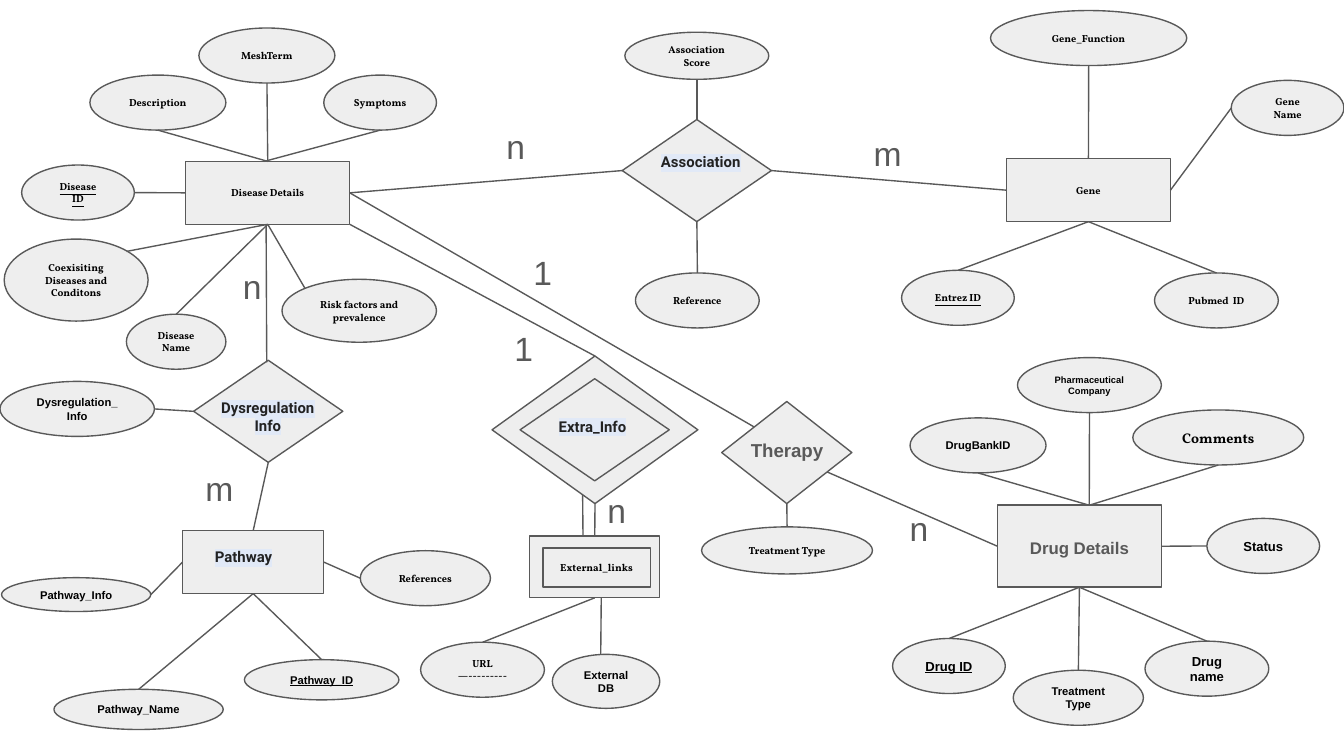
from lxml.etree import SubElement
from pptx import Presentation
from pptx.dml.color import RGBColor as Rgb
from pptx.enum.shapes import MSO_CONNECTOR as Link, MSO_SHAPE as Kind
from pptx.enum.text import MSO_ANCHOR as Anchor, PP_ALIGN as Align
from pptx.oxml import parse_xml
from pptx.oxml.ns import nsdecls, qn
from pptx.util import Cm, Pt

INK = {"fill": "EEEEEE", "line": "595959", "text": "000000", "dark": "222222", "mark": "E1E9F7"}
RECT, OVAL = Kind.RECTANGLE, Kind.FLOWCHART_CONNECTOR
RHOMB, DIAMOND = Kind.FLOWCHART_DECISION, Kind.DIAMOND
SIDES = [(0.5, 0), (0, 0.5), (0.5, 1), (1, 0.5)]
TOP, LEFT, BASE, RIGHT = range(4)
SERIF, SANS, HEAD = "Vollkorn", "Arial", "Roboto"


def tint(name):
    return Rgb.from_string(INK[name])


def place(box, at):
    x, y, w, h = at
    return Cm(box[0] + x), Cm(box[1] + y), Cm(w), Cm(h)


def write(shape, text, font, size, ink="text", bold=True, under=False, align=Align.CENTER, mark=False):
    frame = shape.text_frame
    frame.word_wrap = True
    frame.margin_left = frame.margin_right = Cm(0.25)
    frame.margin_top = frame.margin_bottom = Cm(0.25)
    for i, row in enumerate(text.split("\n")):
        para = frame.paragraphs[0] if i == 0 else frame.add_paragraph()
        para.alignment = align
        for j, part in enumerate(row.split("\v")):
            if j:
                para.add_line_break()
            run = para.add_run()
            run.text = part
            run.font.size, run.font.name = Pt(size), font
            run.font.bold = bold
            if under:
                run.font.underline = True
            run.font.color.rgb = tint(ink)
            if mark:
                glow = parse_xml(f"<a:highlight {nsdecls('a')}><a:srgbClr val='{INK['mark']}'/></a:highlight>")
                run._r.rPr.find(qn("a:solidFill")).addnext(glow)


def draw(page, box, kind, at, text="", font=SERIF, size=5.5, under=False):
    shape = page.shapes.add_shape(kind, *place(box, at))
    shape.shadow.inherit = False
    shape.fill.solid()
    shape.fill.fore_color.rgb = tint("fill")
    shape.line.color.rgb = tint("line")
    shape.line.width = Pt(0.75)
    if text:
        shape.text_frame.vertical_anchor = Anchor.MIDDLE
        write(shape, text, font, size, under=under)
    return shape


def note(page, box, at, text, font=HEAD, size=8, ink="dark", **style):
    area = page.shapes.add_textbox(*place(box, at))
    area.text_frame.vertical_anchor = Anchor.TOP
    write(area, text, font, size, ink, **style)


def title(page, box, at, text, align=Align.LEFT):
    note(page, box, at, text, align=align, mark=True)


def count(page, box, x, y, text):
    note(page, box, (x, y, 0.86, 1.27), text, SANS, 18, "line", bold=False, align=Align.LEFT)


def spot(shape, end):
    fx, fy = SIDES[end] if isinstance(end, int) else end
    return int(shape.left + fx * shape.width), int(shape.top + fy * shape.height)


def join(page, a, start, b, end):
    line = page.shapes.add_connector(Link.STRAIGHT, *spot(a, start), *spot(b, end))
    line.line.color.rgb = tint("line")
    line.line.width = Pt(0.75)
    SubElement(line._element.spPr, qn("a:effectLst"))
    for shape, side, glue in ((a, start, line.begin_connect), (b, end, line.end_connect)):
        if isinstance(side, int) and (side == TOP or shape.auto_shape_type != OVAL):
            glue(shape, side)


def fan(page, box, hub, leaves):
    for start, end, at, text, *style in leaves:
        join(page, hub, start, draw(page, box, OVAL, at, text, *style), end)


def disease(page, box):
    hub = draw(page, box, RECT, (3.43, 2.52, 3.1, 1.19), "Disease Details")
    fan(page, box, hub, [
        (TOP, BASE, (1.62, 0.89, 2.57, 1.04), "Description"),
        (TOP, BASE, (3.68, 0, 2.57, 1.04), "MeshTerm"),
        ((0.48, 0), BASE, (6.04, 0.89, 2.13, 1.04), "Symptoms"),
        (LEFT, RIGHT, (0.33, 2.59, 2.13, 1.04), "Disease\nID", SERIF, 5.5, True),
        (BASE, (0.85, 0.15), (0, 3.99, 2.72, 1.55), "Coexisiting Diseases and Conditons"),
        (BASE, TOP, (2.31, 5.41, 1.88, 1.04), "Disease\vName"),
        (BASE, (0.15, 0.15), (5.25, 4.75, 2.92, 1.19), "Risk factors and prevalence"),
    ])
    return hub


def assoc(page, box):
    hub = draw(page, box, RHOMB, (0, 1.65, 2.82, 1.93))
    title(page, box, (0.48, 2.11, 2.34, 0.86), "Association")
    fan(page, box, hub, [
        (TOP, BASE, (0.05, 0, 2.72, 0.89), "Association\vScore"),
        (BASE, TOP, (0.25, 4.55, 2.34, 1.04), "Reference"),
    ])
    return hub


def gene(page, box):
    hub = draw(page, box, RECT, (1.98, 2.8, 3.1, 1.19), "Gene")
    fan(page, box, hub, [
        (TOP, BASE, (1.68, 0, 3.71, 1.04), "Gene_Function"),
        (RIGHT, LEFT, (6.23, 1.32, 2.13, 1.04), "Gene Name"),
        (BASE, TOP, (0, 4.91, 2.13, 1.04), "Entrez ID", SERIF, 5.5, True),
        (BASE, TOP, (4.78, 4.96, 2.34, 1.04), "Pubmed  ID"),
    ])
    return hub


def extra(page, box):
    hub = draw(page, box, RHOMB, (1.35, 0, 3.89, 2.79))
    draw(page, box, RHOMB, (1.88, 0.43, 2.82, 1.93))
    title(page, box, (2.36, 0.99, 2.34, 0.86), "Extra_Info")
    weak = draw(page, box, RECT, (2.06, 3.4, 2.46, 1.17))
    draw(page, box, RECT, (2.31, 3.63, 2.03, 0.74), "External_links")
    join(page, hub, BASE, weak, TOP)
    join(page, hub, (0.44, 0.94), weak, (0.41, 0))
    fan(page, box, weak, [
        (BASE, TOP, (0, 5.41, 2.34, 1.04), "URL\n—---------"),
        ((0.55, 1), (0.45, 0), (2.49, 5.64, 2.03, 1.02), "External\vDB", SANS, 6),
    ])
    count(page, box, 3.28, 2.29, "n")
    return hub


def therapy(page, box):
    hub = draw(page, box, DIAMOND, (0.38, 0, 2.46, 1.93))
    note(page, box, (0.68, 0.49, 2.31, 0.94), "Therapy", SANS, 10, "line", align=Align.LEFT)
    fan(page, box, hub, [(BASE, TOP, (0, 2.37, 3.23, 0.89), "Treatment Type")])
    return hub


def drug(page, box):
    hub = draw(page, box, RECT, (1.98, 2.79, 3.1, 1.55))
    note(page, box, (1.98, 3.22, 3.1, 0.86), "Drug Details", SANS, 9, "line")
    peak = (0.56, 0)
    fan(page, box, hub, [
        (peak, BASE, (0.33, 1.14, 2.57, 1.04), "DrugBankID", SANS, 6),
        (peak, BASE, (2.36, 0, 2.72, 1.04), "Pharmaceutical\vCompany", SANS, 5),
        (peak, BASE, (4.54, 0.99, 3.23, 1.04), "Comments", SERIF, 7.5),
        (RIGHT, LEFT, (5.94, 3.04, 2.13, 1.04), "Status", SANS, 7),
        (BASE, TOP, (0, 5.31, 2.13, 1.04), "Drug ID", SANS, 7, True),
        (BASE, TOP, (2.28, 5.91, 2.46, 1.04), "Treatment\nType", SANS, 6),
        (BASE, TOP, (4.77, 5.36, 2.34, 1.04), "Drug name", SANS, 7),
    ])
    return hub


def pathway(page, box):
    hub = draw(page, box, RHOMB, (3.66, 0, 2.82, 1.93))
    title(page, box, (3.81, 0.48, 2.51, 1.19), "Dysregulation\nInfo", Align.CENTER)
    fan(page, box, hub, [(LEFT, RIGHT, (0, 0.4, 2.92, 1.04), "Dysregulation_\vInfo", SANS, 6)])
    node = draw(page, box, RECT, (3.45, 3.22, 2.67, 1.19))
    title(page, box, (3.81, 3.38, 1.88, 0.86), "Pathway")
    join(page, hub, BASE, node, TOP)
    fan(page, box, node, [
        (LEFT, RIGHT, (0.03, 4.11, 2.82, 0.64), "Pathway_Info", SANS, 6),
        (RIGHT, LEFT, (6.81, 3.6, 2.46, 1.04), "References"),
        (BASE, TOP, (1.02, 6.22, 3.2, 0.76), "Pathway_Name", SANS, 6),
        (BASE, TOP, (4.62, 5.66, 2.92, 0.76), "Pathway_ID", SANS, 6, True),
    ])
    count(page, box, 3.63, 1.78, "m")
    return hub


def main():
    deck = Presentation()
    deck.slide_width, deck.slide_height = Cm(25.4), Cm(14.29)
    page = deck.slides.add_slide(deck.slide_layouts[6])
    ill = disease(page, (0.08, 0.53))
    tie = assoc(page, (11.76, 0.61))
    dna = gene(page, (17.04, 0.2))
    info = extra(page, (7.95, 6.73))
    cure = therapy(page, (13.26, 7.59))
    med = drug(page, (16.87, 6.76))
    fault = pathway(page, (0, 6.81))
    join(page, ill, RIGHT, tie, LEFT)
    join(page, tie, RIGHT, dna, LEFT)
    join(page, ill, (1, 1), info, TOP)
    join(page, ill, RIGHT, cure, (0.25, 0.25))
    join(page, cure, (0.81, 0.69), med, LEFT)
    join(page, ill, (0.49, 1), fault, (0.49, 0.02))
    for x, y, text in [(9.32, 2.13, "n"), (16.26, 2.26, "m"), (9.83, 4.52, "1"),
                       (16.94, 9.35, "n"), (4.34, 4.78, "n"), (9.47, 5.94, "1")]:
        count(page, (0, 0), x, y, text)
    deck.save("out.pptx")


if __name__ == "__main__":
    main()
